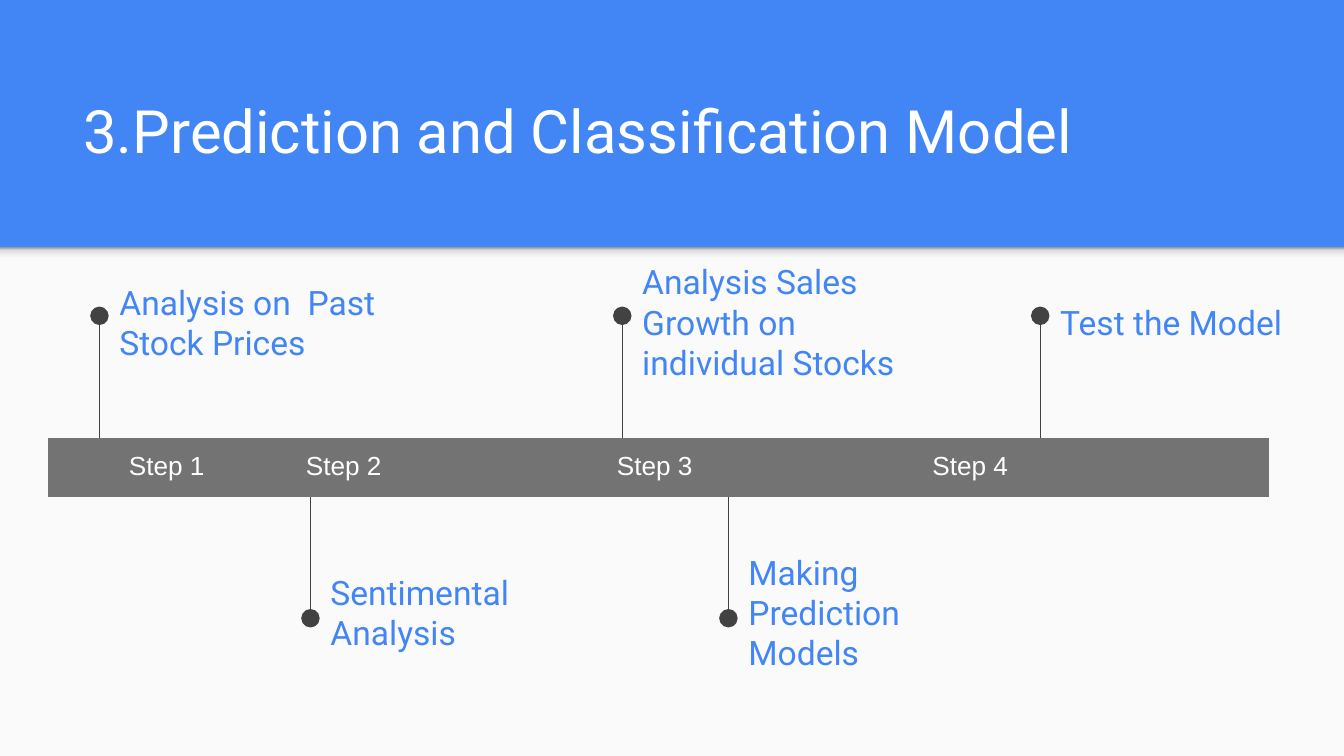
from dataclasses import dataclass

from pptx import Presentation
from pptx.dml.color import RGBColor
from pptx.enum.shapes import MSO_CONNECTOR, MSO_SHAPE
from pptx.enum.text import MSO_ANCHOR as Anchor, MSO_AUTO_SIZE as AutoSize, PP_ALIGN as Align
from pptx.oxml import parse_xml
from pptx.oxml.ns import nsdecls, qn
from pptx.util import Inches, Pt


@dataclass(frozen=True)
class Theme:
    blue: str = "4285F4"
    paper: str = "FAFAFA"
    band: str = "737373"
    stem: str = "424242"
    white: str = "FFFFFF"
    shadow: tuple = ((0, "F9F9F9"), (36, "F9F9F9"), (80, "DEDEDE"), (100, "999999"))
    heading_font: str = "Roboto"
    step_font: str = "Arial"
    title_size: int = 32
    label_size: int = 18
    step_size: int = 14


THEME = Theme()
WIDTH = 10
HEIGHT = WIDTH * 9 / 16
HEADER_HEIGHT = 1.84
INSET = 0.1
STEM_LENGTH = 0.91

# Stem position, whether it points up, label width, label text
MILESTONES = [
    (0.74, True, 2.23, "Analysis on  Past Stock Prices"),
    (2.31, False, 1.98, "Sentimental Analysis"),
    (4.63, True, 2.45, "Analysis Sales Growth on individual Stocks"),
    (5.42, False, 1.98, "Making Prediction Models"),
    (7.74, True, 1.98, "Test the Model"),
]
# Step text, alignment, left margin of its cell
STEPS = [
    ("Step 1 ", Align.CENTER, INSET),
    ("Step 2", Align.LEFT, INSET),
    ("Step 3 ", Align.CENTER, INSET),
    ("Step 4 ", Align.LEFT, 1.13),
    ("", Align.LEFT, INSET),
]


def paint(fill, color):
    fill.solid()
    fill.fore_color.rgb = RGBColor.from_string(color)


def write(frame, text, *, size, color, font=THEME.heading_font, align=Align.LEFT):
    paragraph = frame.paragraphs[0]
    paragraph.alignment = align
    if not text:
        # The size of an empty paragraph still sets the row height
        paragraph._p.append(parse_xml(f'<a:endParaRPr {nsdecls("a")} sz="{size * 100}"/>'))
        return
    run = paragraph.add_run()
    run.text = text
    run.font.size, run.font.name = Pt(size), font
    run.font.color.rgb = RGBColor.from_string(color)


def fit_frame(frame, anchor, bottom=INSET):
    frame.word_wrap = True
    frame.auto_size = AutoSize.NONE
    frame.vertical_anchor = anchor
    frame.margin_left = frame.margin_right = frame.margin_top = Inches(INSET)
    frame.margin_bottom = Inches(bottom)


def add_panel(slide, left, top, width, height):
    panel = slide.shapes.add_shape(
        MSO_SHAPE.RECTANGLE, Inches(left), Inches(top), Inches(width), Inches(height))
    panel.shadow.inherit = False
    panel.line.fill.background()
    return panel


def add_backdrop(slide, left, top, width, height):
    """Light body below the blue header, with a soft shadow along its top."""
    paint(slide.background.fill, THEME.blue)
    paint(add_panel(slide, left, top, width, height).fill, THEME.paper)
    edge = add_panel(slide, left, top, width, 0.12)
    edge.fill.gradient()
    edge.fill.gradient_angle = 90
    stops = "".join(f'<a:gs pos="{pos * 1000}"><a:srgbClr val="{color}"/></a:gs>'
                    for pos, color in THEME.shadow)
    gradient = edge._element.spPr.find(qn("a:gradFill"))
    gradient.replace(gradient.find(qn("a:gsLst")),
                     parse_xml(f'<a:gsLst {nsdecls("a")}>{stops}</a:gsLst>'))


def add_heading(slide, left, top, width, height):
    title = slide.shapes.title
    title.left, title.top = Inches(left), Inches(top)
    title.width, title.height = Inches(width), Inches(height)
    fit_frame(title.text_frame, Anchor.BOTTOM, bottom=0.41)
    write(title.text_frame, "3.Prediction and Classification Model",
          size=THEME.title_size, color=THEME.white)


def add_milestone(slide, x, start, upward, width, text):
    """Stem ending in a dot, with the label beside the dot."""
    end = start - STEM_LENGTH if upward else start + STEM_LENGTH
    stem = slide.shapes.add_connector(
        MSO_CONNECTOR.STRAIGHT, Inches(x), Inches(start), Inches(x), Inches(end))
    stem.line.width = Pt(0.75)
    paint(stem.line.fill, THEME.stem)
    stem.line._get_or_add_ln().append(
        parse_xml(f'<a:tailEnd {nsdecls("a")} type="oval" w="lg" len="lg"/>'))
    stem._element.spPr.append(parse_xml(f'<a:effectLst {nsdecls("a")}/>'))

    label_top = end - 0.17 if upward else end - 0.26
    label = slide.shapes.add_textbox(
        Inches(x + 0.05), Inches(label_top), Inches(width), Inches(0.43))
    fit_frame(label.text_frame, Anchor.MIDDLE)
    write(label.text_frame, text, size=THEME.label_size, color=THEME.blue)


def add_step_band(slide, left, top, width, height):
    band = slide.shapes.add_table(
        1, len(STEPS), Inches(left), Inches(top), Inches(width), Inches(height)).table
    band.first_row = band.horz_banding = False
    for column, cell, (text, align, margin) in zip(band.columns, band.rows[0].cells, STEPS):
        column.width = Inches(width / len(STEPS))
        paint(cell.fill, THEME.band)
        cell.margin_left = Inches(margin)
        cell.margin_right = Inches(0 if margin > INSET else INSET)
        cell.margin_top = cell.margin_bottom = Inches(INSET)
        # Without borders the cells read as one bar
        for side in ("lnL", "lnR", "lnT", "lnB"):
            border = parse_xml(f'<a:{side} {nsdecls("a")} w="9525"><a:noFill/></a:{side}>')
            properties = cell._tc.get_or_add_tcPr()
            properties.insert(len(properties) - 1, border)
        write(cell.text_frame, text, size=THEME.step_size, color=THEME.white,
              font=THEME.step_font, align=align)


def add_timeline(slide, left, top, width, height):
    for x, upward, label_width, text in MILESTONES:
        start = top if upward else top + height
        add_milestone(slide, x, start, upward, label_width, text)
    add_step_band(slide, left, top, width, height)


def main():
    deck = Presentation()
    deck.slide_width, deck.slide_height = Inches(WIDTH), Inches(HEIGHT)
    slide = deck.slides.add_slide(deck.slide_layouts[5])
    add_backdrop(slide, 0, HEADER_HEIGHT, WIDTH, HEIGHT - HEADER_HEIGHT)
    add_heading(slide, 0.52, 0.4, 8.99, 1.24)
    add_timeline(slide, 0.36, 3.26, 9.08, 0.43)
    deck.save("out.pptx")


if __name__ == "__main__":
    main()
